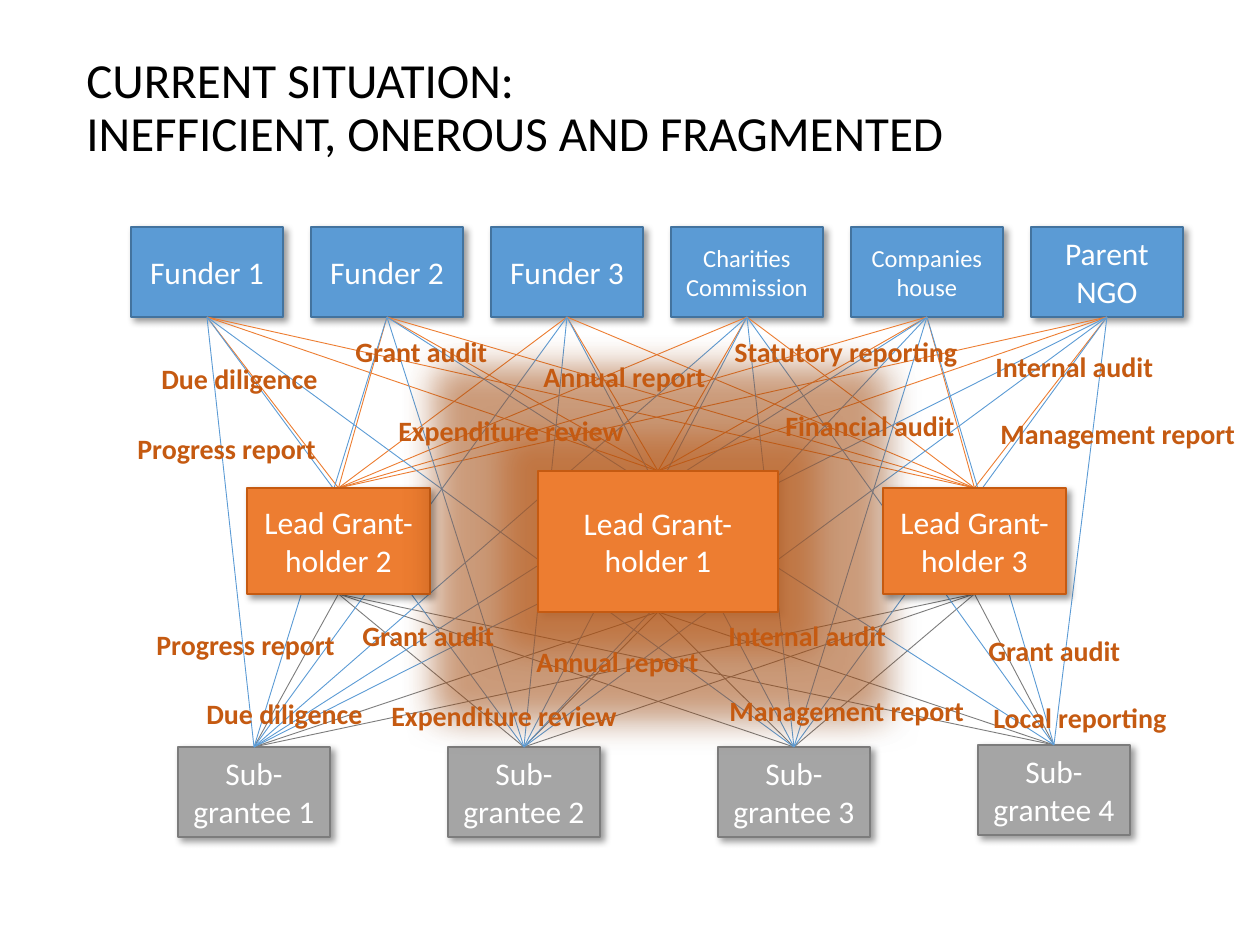
import pptx
import pptx.util
import pptx.dml.color
import pptx.enum.shapes
import pptx.enum.text
import pptx.oxml
import pptx.oxml.ns

RGBColor = pptx.dml.color.RGBColor
BLACK = RGBColor(0x00, 0x00, 0x00)
WHITE = RGBColor(0xFF, 0xFF, 0xFF)
BLUE = RGBColor(0x5B, 0x9B, 0xD5)
DARK_BLUE = RGBColor(0x43, 0x73, 0x9E)
ORANGE = RGBColor(0xED, 0x7D, 0x31)
DARK_ORANGE = RGBColor(0xC5, 0x5A, 0x11)
GRAY = RGBColor(0xA5, 0xA5, 0xA5)
DARK_GRAY = RGBColor(0x7C, 0x7C, 0x7C)

PX = 914400 // 126
TOP, BOTTOM = 0, 2
SHADOW = (
    '<a:outerShdw blurRad="50800" dist="38100" dir="2700000" algn="tl" rotWithShape="0">'
    '<a:srgbClr val="000000"><a:alpha val="40000"/></a:srgbClr></a:outerShdw>'
)
GLOW = '<a:glow rad="508000"><a:srgbClr val="C55A11"><a:alpha val="45000"/></a:srgbClr></a:glow>'

presentation = pptx.Presentation()
presentation.slide_width = 1260 * PX
presentation.slide_height = 945 * PX
slide = presentation.slides.add_slide(presentation.slide_layouts[6])
shapes = slide.shapes


def set_effects(shape, effects=""):
    properties = shape.element.spPr
    for old in properties.findall(pptx.oxml.ns.qn("a:effectLst")):
        properties.remove(old)
    namespace = pptx.oxml.ns.nsdecls("a")
    properties.append(pptx.oxml.parse_xml(f"<a:effectLst {namespace}>{effects}</a:effectLst>"))


def write(shape, text, size, color, bold=False):
    frame = shape.text_frame
    frame.word_wrap = True
    frame.text = text
    for run in frame.paragraphs[0].runs:
        run.font.name = "Calibri"
        run.font.size = pptx.util.Pt(size)
        run.font.color.rgb = color
        run.font.bold = bold
    return frame


title = shapes.add_textbox(74 * PX, 30 * PX, 1134 * PX, 158 * PX)
title_frame = write(title, "CURRENT SITUATION: \vINEFFICIENT, ONEROUS AND FRAGMENTED", 28, BLACK)
title_frame.vertical_anchor = pptx.enum.text.MSO_ANCHOR.MIDDLE
title_frame.paragraphs[0].line_spacing = 0.9

funder_names = [
    ("Funder 1", 18), ("Funder 2", 18), ("Funder 3", 18),
    ("Charities Commission", 14), ("Companies house", 14), ("Parent NGO", 18),
]
funder_boxes = [
    (name, size, 131 + 180 * index, 227, 152, 90)
    for index, (name, size) in enumerate(funder_names)
]
subgrantee_boxes = [
    (f"Sub-grantee {number}", 18, left, top, 152, 90)
    for number, left, top in [(1, 178, 747), (2, 448, 747), (3, 718, 747), (4, 978, 745)]
]
lead_boxes = [
    ("Lead Grant-holder 2", 18, 247, 488, 183, 106),
    ("Lead Grant-holder 1", 18, 538, 471, 240, 141),
    ("Lead Grant-holder 3", 18, 883, 488, 183, 106),
]
tiers = []
for boxes, fill, outline in [
    (funder_boxes, BLUE, DARK_BLUE),
    (subgrantee_boxes, GRAY, DARK_GRAY),
    (lead_boxes, ORANGE, DARK_ORANGE),
]:
    tier = []
    for name, size, left, top, width, height in boxes:
        box = shapes.add_shape(
            pptx.enum.shapes.MSO_SHAPE.RECTANGLE, left * PX, top * PX, width * PX, height * PX
        )
        box.shadow.inherit = False
        box.fill.solid()
        box.fill.fore_color.rgb = fill
        box.line.color.rgb = outline
        box.line.width = pptx.util.Pt(1)
        set_effects(box, SHADOW)
        frame = write(box, name, size, WHITE)
        frame.vertical_anchor = pptx.enum.text.MSO_ANCHOR.MIDDLE
        frame.paragraphs[0].alignment = pptx.enum.text.PP_ALIGN.CENTER
        tier.append(box)
    tiers.append(tier)
funders, subgrantees, leads = tiers
set_effects(leads[1], GLOW + SHADOW)

links = []
for lead in leads:
    links += [(funder, BOTTOM, lead, TOP, ORANGE) for funder in funders]
    links += [(subgrantee, TOP, lead, BOTTOM, DARK_GRAY) for subgrantee in subgrantees]
unlinked = {(0, 3), (1, 2), (2, 3)}
links += [
    (funder, BOTTOM, subgrantee, TOP, BLUE)
    for row, funder in enumerate(funders)
    for column, subgrantee in enumerate(subgrantees)
    if (row, column) not in unlinked
]
for start, start_side, end, end_side, color in links:
    connector = shapes.add_connector(pptx.enum.shapes.MSO_CONNECTOR.STRAIGHT, 0, 0, 0, 0)
    connector.begin_connect(start, start_side)
    connector.end_connect(end, end_side)
    connector.line.color.rgb = color
    connector.line.width = pptx.util.Pt(0.5)
    set_effects(connector)

for lead in leads:
    shapes.element.append(lead.element)

labels = [
    ("Due diligence", 149, 355, 222),
    ("Annual report", 531, 353, 222),
    ("Financial audit", 773, 402, 222),
    ("Grant audit", 343, 328, 222),
    ("Expenditure review", 386, 407, 281),
    ("Internal audit", 983, 343, 222),
    ("Statutory reporting", 722, 328, 261),
    ("Progress report", 125, 425, 238),
    ("Management report", 988, 410, 271),
    ("Due diligence", 194, 690, 222),
    ("Annual report", 524, 638, 222),
    ("Management report", 717, 687, 271),
    ("Grant audit", 350, 612, 222),
    ("Expenditure review", 379, 692, 281),
    ("Grant audit", 976, 627, 222),
    ("Internal audit", 716, 612, 261),
    ("Local reporting", 981, 694, 271),
    ("Progress report", 144, 621, 222),
]
for text, left, top, width in labels:
    label = shapes.add_textbox(left * PX, top * PX, width * PX, 47 * PX)
    write(label, text, 16, DARK_ORANGE, bold=True)

presentation.save("out.pptx")
